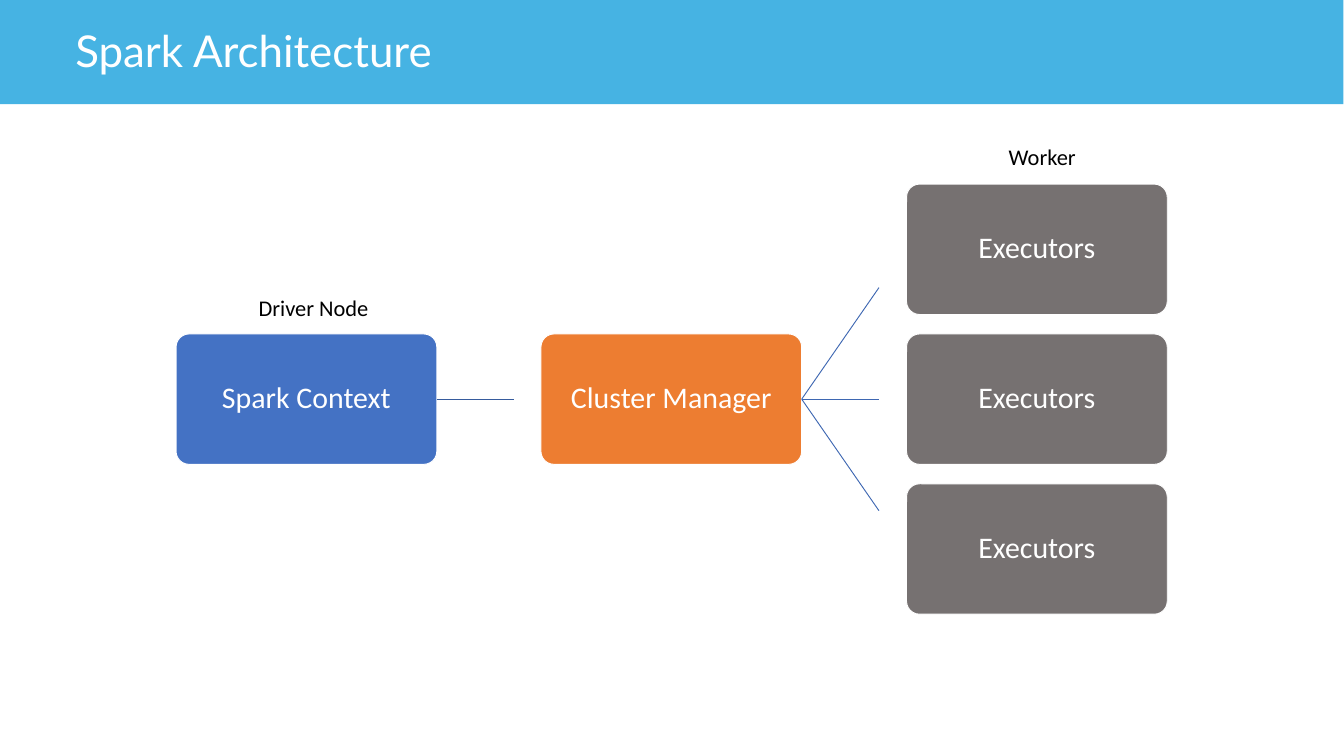
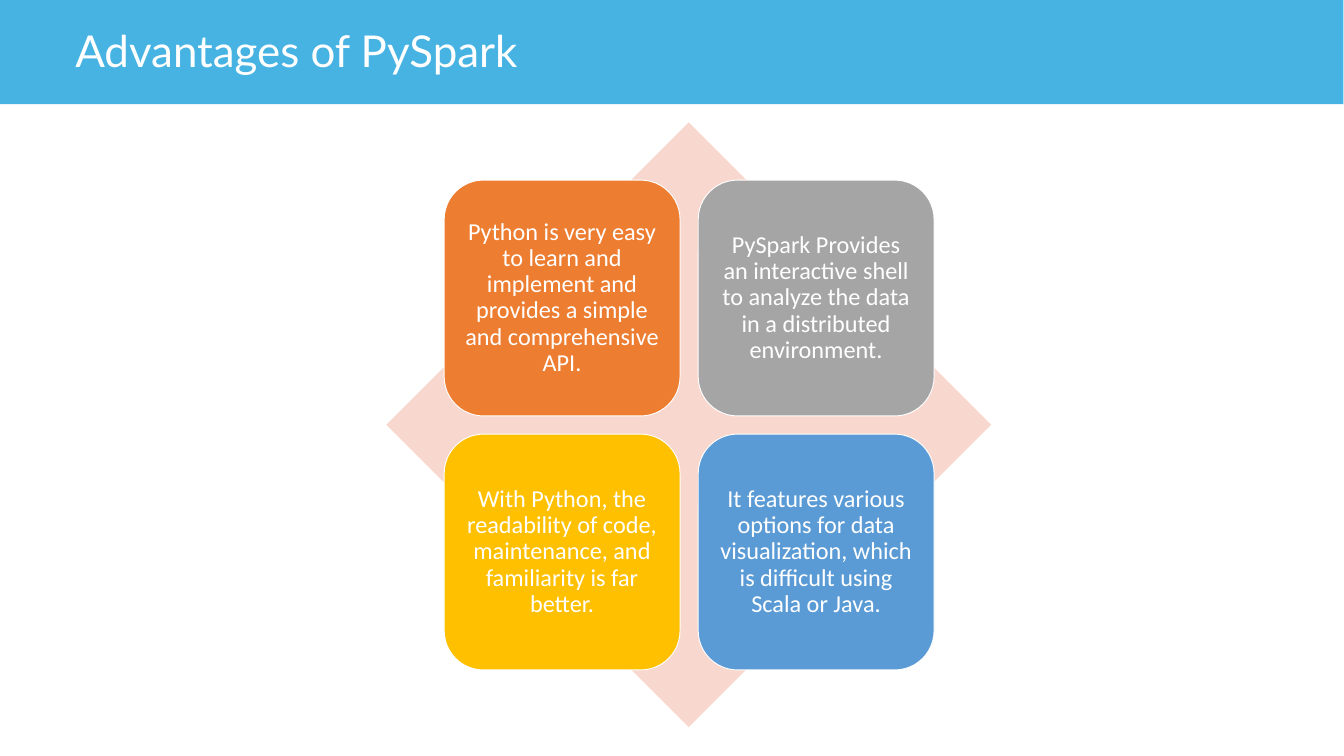
from lxml import etree
from pptx import Presentation
from pptx.dml.color import RGBColor
from pptx.enum import shapes, text
from pptx.oxml import ns
from pptx.util import Inches, Pt

COLORS = {
    "band": "46B3E3",
    "white": "FFFFFF",
    "black": "000000",
    "driver": "4472C4",
    "orange": "ED7D31",
    "executor": "767171",
    "driver_link": "365B9D",
    "executor_link": "3E67B2",
    "diamond": "F8D7CE",
    "gray": "A5A5A5",
    "yellow": "FFC000",
    "blue": "5B9BD5",
}
TITLE_FONT, BODY_FONT = "Lato", "Calibri"

# Architecture diagram grid
NODE_WIDTH, NODE_HEIGHT = 3.88, 1.94
COLUMN_LEFTS = [2.62, 8.05, 13.49]
MIDDLE_TOP, ROW_STEP = 4.97, 2.23
MIDDLE_Y = MIDDLE_TOP + NODE_HEIGHT / 2
LINK_WIDTH, LINK_RISE = 1.15, 1.66

# Advantage cards grid
CARD_SIZE, CARD_STEP = 3.51, 3.78
CARDS_LEFT, CARDS_TOP = 6.61, 2.68
ADVANTAGES = [
    ("orange", "Python is very easy to learn and implement and provides "
               "a simple and comprehensive API."),
    ("gray", "PySpark Provides an interactive shell to analyze the data "
             "in a distributed environment."),
    ("yellow", "With Python, the readability of code, maintenance, and "
               "familiarity is far better."),
    ("blue", "It features various options for data visualization, which "
             "is difficult using Scala or Java."),
]


def rgb(name):
    return RGBColor.from_string(COLORS[name])


def set_margins(frame, margin):
    frame.margin_left = frame.margin_right = Inches(margin)
    frame.margin_top = frame.margin_bottom = Inches(margin)


def write(frame, words, size, color, font=BODY_FONT,
          align=text.PP_ALIGN.CENTER, spacing=None):
    frame.word_wrap = True
    paragraph = frame.paragraphs[0]
    paragraph.alignment = align
    if spacing:
        paragraph.line_spacing = spacing
    run = paragraph.add_run()
    run.text = words
    run.font.size = Pt(size)
    run.font.name = font
    run.font.color.rgb = rgb(color)


def add_block(slide, kind, left, top, width, height, fill, outline=None):
    shape = slide.shapes.add_shape(
        kind, Inches(left), Inches(top), Inches(width), Inches(height))
    shape.shadow.inherit = False
    shape.fill.solid()
    shape.fill.fore_color.rgb = rgb(fill)
    if outline:
        shape.line.color.rgb = rgb(outline)
        shape.line.width = Pt(1)
    else:
        shape.line.fill.background()
    return shape


def add_rounded_box(slide, left, top, width, height, fill, words, size,
                    margin, radius=None):
    shape = add_block(slide, shapes.MSO_SHAPE.ROUNDED_RECTANGLE,
                      left, top, width, height, fill, "white")
    if radius:
        shape.adjustments[0] = radius
    frame = shape.text_frame
    set_margins(frame, margin)
    frame.vertical_anchor = text.MSO_ANCHOR.MIDDLE
    write(frame, words, size, "white", spacing=0.9)


def add_node(slide, left, top, fill, words):
    add_rounded_box(slide, left, top, NODE_WIDTH, NODE_HEIGHT, fill, words,
                    size=32, margin=0.02, radius=0.1)


def add_link(slide, left, rise, color):
    """Draw a line rightwards from a node's edge at mid height."""
    link = slide.shapes.add_connector(
        shapes.MSO_CONNECTOR.STRAIGHT, Inches(left), Inches(MIDDLE_Y),
        Inches(left + LINK_WIDTH), Inches(MIDDLE_Y + rise))
    link.line.color.rgb = rgb(color)
    link.line.width = Pt(1)
    etree.SubElement(link.element.spPr, ns.qn("a:effectLst"))


def add_label(slide, left, top, width, words):
    box = slide.shapes.add_textbox(
        Inches(left), Inches(top), Inches(width), Inches(0.5))
    write(box.text_frame, words, 24, "black")


def add_titled_slide(presentation, words):
    slide = presentation.slides.add_slide(presentation.slide_layouts[5])
    title = slide.shapes.title
    title.left, title.top = Inches(1.12), Inches(0.29)
    title.width, title.height = Inches(12.86), Inches(0.83)
    frame = title.text_frame
    set_margins(frame, 0)
    frame.vertical_anchor = text.MSO_ANCHOR.TOP
    frame.auto_size = text.MSO_AUTO_SIZE.SHAPE_TO_FIT_TEXT
    write(frame, words, 47, "white", TITLE_FONT, text.PP_ALIGN.LEFT, Pt(61.1))
    # The band lies behind the title
    band = add_block(slide, shapes.MSO_SHAPE.RECTANGLE,
                     0, 0, 19.99, 1.55, "band")
    title.element.addprevious(band.element)
    return slide


def build_architecture(presentation):
    slide = add_titled_slide(presentation, "Spark Architecture")
    driver_left, manager_left, executor_left = COLUMN_LEFTS

    # Driver and cluster manager
    add_node(slide, driver_left, MIDDLE_TOP, "driver", "Spark Context")
    add_link(slide, driver_left + NODE_WIDTH, 0, "driver_link")
    add_node(slide, manager_left, MIDDLE_TOP, "orange", "Cluster Manager")

    # Executors fan out from the manager
    for row in (-1, 0, 1):
        add_link(slide, manager_left + NODE_WIDTH, row * LINK_RISE,
                 "executor_link")
        add_node(slide, executor_left, MIDDLE_TOP + row * ROW_STEP,
                 "executor", "Executors")

    add_label(slide, 3.58, 4.33, 2.17, "Driver Node")
    add_label(slide, 14.33, 2.08, 2.36, "Worker")


def build_advantages(presentation):
    slide = add_titled_slide(presentation, "Advantages of PySpark")
    add_block(slide, shapes.MSO_SHAPE.DIAMOND, 5.75, 1.82, 9, 9, "diamond")

    # Two by two cards
    for index, (fill, words) in enumerate(ADVANTAGES):
        row, column = divmod(index, 2)
        add_rounded_box(slide, CARDS_LEFT + column * CARD_STEP,
                        CARDS_TOP + row * CARD_STEP, CARD_SIZE, CARD_SIZE,
                        fill, words, size=26, margin=0.11)


def main():
    presentation = Presentation()
    presentation.slide_width = Inches(20)
    presentation.slide_height = Inches(11.25)
    build_architecture(presentation)
    build_advantages(presentation)
    presentation.save("out.pptx")


if __name__ == "__main__":
    main()
